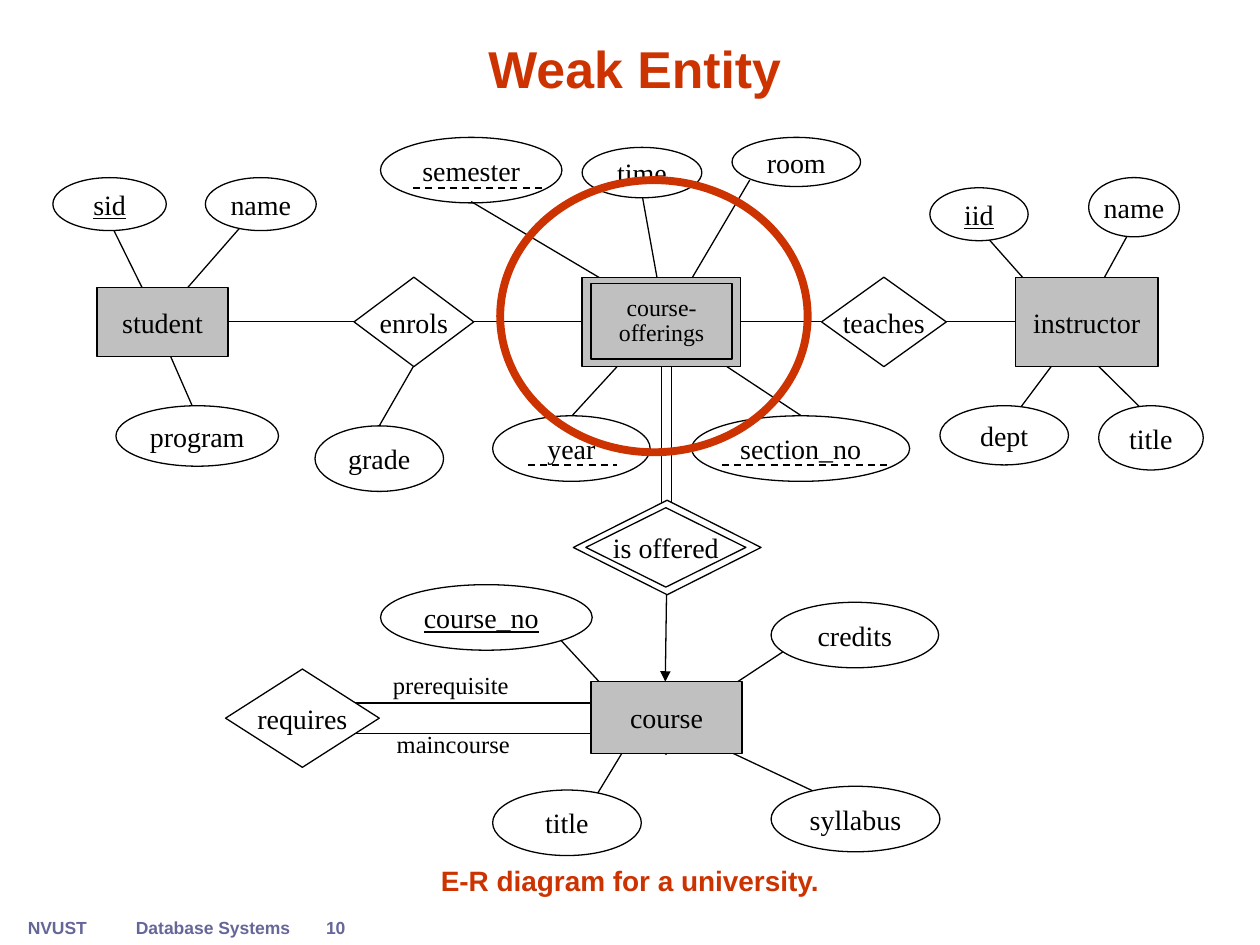
"""Build the weak entity slide, an E-R diagram for a university."""
from dataclasses import dataclass
from lxml.etree import SubElement
from pptx import Presentation
from pptx.dml.color import RGBColor
from pptx.enum.dml import MSO_LINE
from pptx.enum.shapes import MSO_CONNECTOR, MSO_SHAPE
from pptx.enum.text import MSO_ANCHOR, PP_ALIGN
from pptx.oxml.ns import qn
from pptx.util import Inches, Pt


@dataclass(frozen=True)
class Theme:
    """Colours, fonts and sizes of the slide."""
    ink: str = "000000"
    paper: str = "FFFFFF"
    gray: str = "C0C0C0"
    red: str = "CC3300"
    slate: str = "666699"
    sans: str = "Arial"
    serif: str = "Times New Roman"
    head: float = 29.6
    body: float = 16
    inner: float = 13.6
    role: float = 14
    foot: float = 10
    thin: float = 0.74
    dash: float = 0.99
    bold: float = 4.5


def text(frame, words, size, color, font, bold=False, under=False,
         align=PP_ALIGN.CENTER, anchor=MSO_ANCHOR.MIDDLE, wrap=False, space=1):
    """Put words in a frame with the given format."""
    frame.word_wrap = wrap
    frame.vertical_anchor = anchor
    frame.margin_left = frame.margin_right = Inches(0.1)
    frame.margin_top = frame.margin_bottom = Inches(0.05)
    par = frame.paragraphs[0]
    par.alignment, par.line_spacing = align, space
    run = par.add_run()
    run.text = words
    face = run.font
    face.size, face.name, face.bold, face.underline = Pt(size), font, bold, under
    face.color.rgb = RGBColor.from_string(color)


class Chart:
    """Draw on one slide, on a grid of 100 columns and 75 rows."""

    def __init__(self, theme):
        """Open a deck with a single title slide."""
        self.theme = theme
        self.deck = Presentation()
        self.deck.slide_width, self.deck.slide_height = Inches(10), Inches(7.5)
        self.slide = self.deck.slides.add_slide(self.deck.slide_layouts[5])
        self.items = self.slide.shapes

    def grid(self, *cells):
        """Turn grid counts into lengths."""
        return [Inches(cell / 10) for cell in cells]

    def title(self, words, box):
        """Place and fill the title."""
        head = self.items.title
        head.left, head.top, head.width, head.height = self.grid(*box)
        text(head.text_frame, words, self.theme.head, self.theme.red, self.theme.sans,
             bold=True, anchor=MSO_ANCHOR.BOTTOM, wrap=True, space=0.9)

    def label(self, words, box, **form):
        """Add free text."""
        item = self.items.add_textbox(*self.grid(*box))
        text(item.text_frame, words, **form)

    def shape(self, kind, box, words="", fill=None, line=None, width=None, **form):
        """Add an outlined shape with optional text."""
        item = self.items.add_shape(kind, *self.grid(*box))
        item.shadow.inherit = False
        if fill:
            item.fill.solid()
            item.fill.fore_color.rgb = RGBColor.from_string(fill)
        else:
            item.fill.background()
        item.line.color.rgb = RGBColor.from_string(line or self.theme.ink)
        item.line.width = Pt(width or self.theme.thin)
        if words:
            look = dict(size=self.theme.body, color=self.theme.ink, font=self.theme.serif)
            text(item.text_frame, words, **(look | form))

    def line(self, ends, dash=False, arrow=False):
        """Add a straight line, dashed or with an arrow."""
        item = self.items.add_connector(MSO_CONNECTOR.STRAIGHT, *self.grid(*ends))
        item.line.color.rgb = RGBColor.from_string(self.theme.ink)
        item.line.width = Pt(self.theme.dash if dash else self.theme.thin)
        if dash:
            item.line.dash_style = MSO_LINE.DASH
        look = item.element.spPr
        if arrow:
            SubElement(look.find(qn("a:ln")), qn("a:tailEnd"), type="triangle")
        SubElement(look, qn("a:effectLst"))

    def save(self):
        """Write the deck."""
        self.deck.save("out.pptx")


LINKS = [
    (77.6, 18, 83.9, 25.1), (90.3, 17.2, 86.4, 24.3), (79, 35, 84.7, 27.4),
    (93.5, 35.3, 85.6, 27.5), (47.6, 55.8, 28, 55.8), (47.6, 58.2, 28, 58.2),
    (63.1, 51.1, 58.1, 54.4), (65, 63, 56.5, 59), (44.5, 50.8, 52.9, 59.9),
    (52.8, 54.1, 46.2, 65), (53.3, 40.9, 53.3, 28.3), (52.5, 40.9, 52.5, 28.3),
    (45.4, 33, 52, 25.8), (63.6, 33, 52.7, 25.8), (59.5, 14.3, 52.9, 25.5),
    (51, 15.7, 52.7, 25.1), (37.4, 16, 52.4, 24.9), (18, 25.5, 28.1, 25.5),
    (37.6, 25.5, 46.2, 25.5), (58.8, 25.5, 65.2, 25.5), (75.1, 25.5, 80.6, 25.5),
    (32.8, 29.1, 30.1, 33.8), (8.5, 17.2, 12.4, 25.1), (19.2, 17.9, 13.7, 24.2),
    (13.2, 27.5, 16.3, 34.6),
]
SOLID = [
    ("title", (87.2, 32.2, 8.3, 5.1)), ("dept", (74.6, 32.2, 10.2, 4.7)),
    ("name", (86.4, 14.1, 7.2, 4.7)), ("iid", (73.8, 14.9, 7.8, 4.2)),
    ("syllabus", (61.2, 62.4, 13.4, 5.2)), ("credits", (61.2, 47.8, 13.3, 5.2)),
    ("section_no", (54.9, 33, 17.3, 5.2)), ("name", (16.3, 14.1, 8.8, 4.2)),
    ("sid", (4.2, 14.1, 9, 4.2)), ("program", (9.2, 32.2, 12.9, 4.8)),
    ("title", (39.1, 62.7, 11.8, 5.2)),
]
CLEAR = [
    ("time", (46.2, 11.7, 9.5, 4)), ("room", (58.1, 10.9, 10.2, 3.9)),
    ("semester", (30.2, 10.9, 14.4, 5.2)), ("year", (39.1, 33, 12.5, 5.2)),
    ("grade", (25, 33.8, 10.2, 5.2)), ("course_no", (30.2, 46.4, 16.8, 5.2)),
]
KEYS = {"sid", "iid", "course_no"}
BOXES = [
    ("course", (46.9, 54.1, 12, 5.7)), ("student", (7.7, 22.8, 10.4, 5.5)),
    ("instructor", (80.6, 22, 11.3, 7.1)),
]
TIES = [
    ("requires", (17.9, 53.1, 12.2, 7.8)), ("enrols", (28.1, 22, 9.5, 7.1)),
    ("teaches", (65.2, 22, 9.9, 7.1)), ("is offered", (46.5, 40.3, 12.7, 6.3)),
]
ROLES = [("prerequisite", (30.2, 52.7, 14.3, 3.4)), ("maincourse", (30.5, 57.4, 14.2, 3.4))]
DASHES = [(57.3, 36.9, 70.6, 36.9), (32.8, 14.9, 43.1, 14.9), (41.9, 36.9, 49, 36.9)]
FOOT = [
    ("NVUST", (1.2, 72.3, 6.7, 2.7)), ("Database Systems", (9.8, 72.3, 14.2, 2.7)),
    ("10", (22.3, 72.3, 8.7, 2.7)),
]


def main():
    """Draw the whole slide."""
    theme = Theme()
    chart = Chart(theme)
    top = MSO_ANCHOR.TOP
    for words, box in FOOT:
        chart.label(words, box, size=theme.foot, color=theme.slate, font=theme.sans,
                    bold=True, anchor=top)
    chart.label("E-R diagram for a university.", (7.5, 66.6, 85, 5.1), size=theme.body,
                color=theme.red, font=theme.sans, bold=True, wrap=True,
                anchor=MSO_ANCHOR.BOTTOM)
    for ends in LINKS:
        chart.line(ends)
    for words, box in ROLES:
        chart.label(words, box, size=theme.role, color=theme.ink, font=theme.serif,
                    align=PP_ALIGN.LEFT, anchor=top, wrap=True)
    for fill, group in ((theme.paper, SOLID), (None, CLEAR)):
        for words, box in group:
            left = words == "course_no"
            chart.shape(MSO_SHAPE.OVAL, box, words, fill, under=words in KEYS, wrap=left,
                        align=PP_ALIGN.LEFT if left else PP_ALIGN.CENTER)
    chart.shape(MSO_SHAPE.RECTANGLE, (46.2, 22, 12.6, 7.1), fill=theme.gray)
    chart.shape(MSO_SHAPE.RECTANGLE, (46.9, 22.5, 11.2, 6), "course- offerings",
                theme.gray, size=theme.inner, wrap=True, space=0.9)
    for words, box in BOXES:
        chart.shape(MSO_SHAPE.FLOWCHART_PROCESS, box, words, theme.gray)
    chart.line((52.9, 47.2, 52.8, 54.1), arrow=True)
    for ends in DASHES:
        chart.line(ends, dash=True)
    chart.shape(MSO_SHAPE.DIAMOND, (45.5, 39.7, 14.9, 7.5), fill=theme.paper)
    for words, box in TIES:
        chart.shape(MSO_SHAPE.FLOWCHART_DECISION, box, words, theme.paper)
    chart.title("Weak Entity", (3.3, 2.2, 94.2, 6.2))
    chart.shape(MSO_SHAPE.OVAL, (39.7, 14.3, 24.4, 21.6), line=theme.red, width=theme.bold)
    chart.save()


main()
